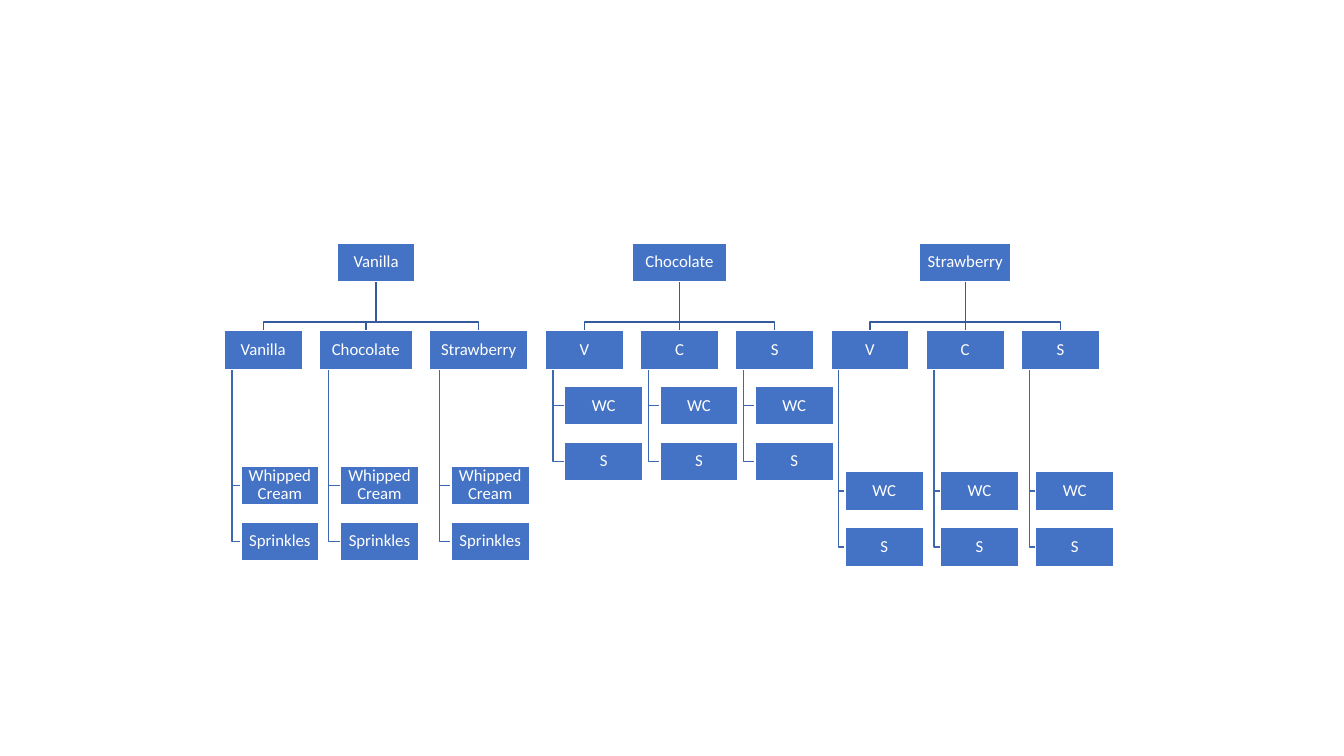
"""Build the slide of ice cream scoop and topping combinations as three trees."""
import dataclasses

import pptx
import pptx.dml.color
import pptx.enum.shapes
import pptx.enum.text
import pptx.util
from pptx.util import Cm


@dataclasses.dataclass(frozen=True)
class Theme:
    """Colours and type of the slide."""

    box: str = "4472C4"
    edge: str = "FFFFFF"
    text: str = "FFFFFF"
    branch: str = "365B9D"
    twig: str = "3E67B2"
    font: str = "Calibri"
    size: float = 12
    line: float = 1


BOX_W, BOX_H = 1.97, 0.98
CHOC_W, STRAW_W = 2.34, 2.49
LEFT, GAP = 5.65, 0.43
ROOT_Y, BUS_Y, SCOOP_Y = 6.12, 8.12, 8.33
TOPPING_STEP = 1.41

FULL_NAMES = ("Whipped Cream", "Sprinkles")
SHORT_NAMES = ("WC", "S")

# root, root width, topping top, topping names, (scoop, width, topping indent)
TREES = [
    ("Vanilla", BOX_W, 11.74, FULL_NAMES,
     [("Vanilla", BOX_W, 0.42), ("Chocolate", CHOC_W, 0.53), ("Strawberry", STRAW_W, 0.55)]),
    ("Chocolate", 2.38, 9.73, SHORT_NAMES, [(n, BOX_W, 0.49) for n in "VCS"]),
    ("Strawberry", 2.31, 11.88, SHORT_NAMES, [(n, BOX_W, 0.36) for n in "VCS"]),
]


class Deck:
    """Draws styled elements on the current slide."""

    def __init__(self, prs, theme):
        self.theme = theme
        self.s = prs.slides.add_slide(prs.slide_layouts[6])

    def style_line(self, line, color):
        line.color.rgb = pptx.dml.color.RGBColor.from_string(color)
        line.width = pptx.util.Pt(self.theme.line)

    def box(self, text, x, y, w=BOX_W):
        sp = self.s.shapes.add_shape(
            pptx.enum.shapes.MSO_SHAPE.RECTANGLE, Cm(x), Cm(y), Cm(w), Cm(BOX_H))
        sp.shadow.inherit = False
        sp.fill.solid()
        sp.fill.fore_color.rgb = pptx.dml.color.RGBColor.from_string(self.theme.box)
        self.style_line(sp.line, self.theme.edge)
        tf = sp.text_frame
        tf.word_wrap = True
        tf.vertical_anchor = pptx.enum.text.MSO_ANCHOR.MIDDLE
        tf.margin_left = tf.margin_right = tf.margin_top = tf.margin_bottom = Cm(0.02)
        p = tf.paragraphs[0]
        p.text = text
        p.alignment = pptx.enum.text.PP_ALIGN.CENTER
        p.line_spacing = 0.9
        p.font.name = self.theme.font
        p.font.size = pptx.util.Pt(self.theme.size)
        p.font.color.rgb = pptx.dml.color.RGBColor.from_string(self.theme.text)

    def elbow(self, points, color):
        start, *rest = [(Cm(x), Cm(y)) for x, y in points]
        fb = self.s.shapes.build_freeform(*start)
        fb.add_line_segments(rest, close=False)
        sp = fb.convert_to_shape()
        sp.shadow.inherit = False
        sp.fill.background()
        self.style_line(sp.line, color)

    def straight(self, x, y1, y2, color):
        sp = self.s.shapes.add_connector(
            pptx.enum.shapes.MSO_CONNECTOR.STRAIGHT, Cm(x), Cm(y1), Cm(x), Cm(y2))
        sp._element.spPr.append(pptx.oxml.parse_xml(
            '<a:effectLst xmlns:a="http://schemas.openxmlformats.org/drawingml/2006/main"/>'))
        self.style_line(sp.line, color)

    def branch(self, root_x, scoop_x):
        top, color = ROOT_Y + BOX_H, self.theme.branch
        if abs(root_x - scoop_x) < 0.01:
            self.straight(root_x, top, SCOOP_Y, color)
        else:
            self.elbow([(root_x, top), (root_x, BUS_Y), (scoop_x, BUS_Y), (scoop_x, SCOOP_Y)], color)

    def twig(self, trunk_x, topping_x, topping_y):
        y = topping_y + BOX_H / 2
        self.elbow([(trunk_x, SCOOP_Y + BOX_H), (trunk_x, y), (topping_x, y)], self.theme.twig)


def main():
    prs = pptx.Presentation()
    prs.slide_width, prs.slide_height = Cm(33.87), Cm(19.05)
    deck = Deck(prs, Theme())
    boxes = []
    x = LEFT
    for root, root_w, topping_y, toppings, scoops in TREES:
        width = sum(w for _, w, _ in scoops) + GAP * (len(scoops) - 1)
        root_x = x + width / 2
        boxes.append((root, root_x - root_w / 2, ROOT_Y, root_w))
        for scoop, w, indent in scoops:
            deck.branch(root_x, x + w / 2)
            boxes.append((scoop, x, SCOOP_Y, w))
            for i, topping in enumerate(toppings):
                y = topping_y + i * TOPPING_STEP
                deck.twig(x + w / 10, x + indent, y)
                boxes.append((topping, x + indent, y))
            x += w + GAP
    for box in boxes:
        deck.box(*box)
    prs.save("out.pptx")


if __name__ == "__main__":
    main()
